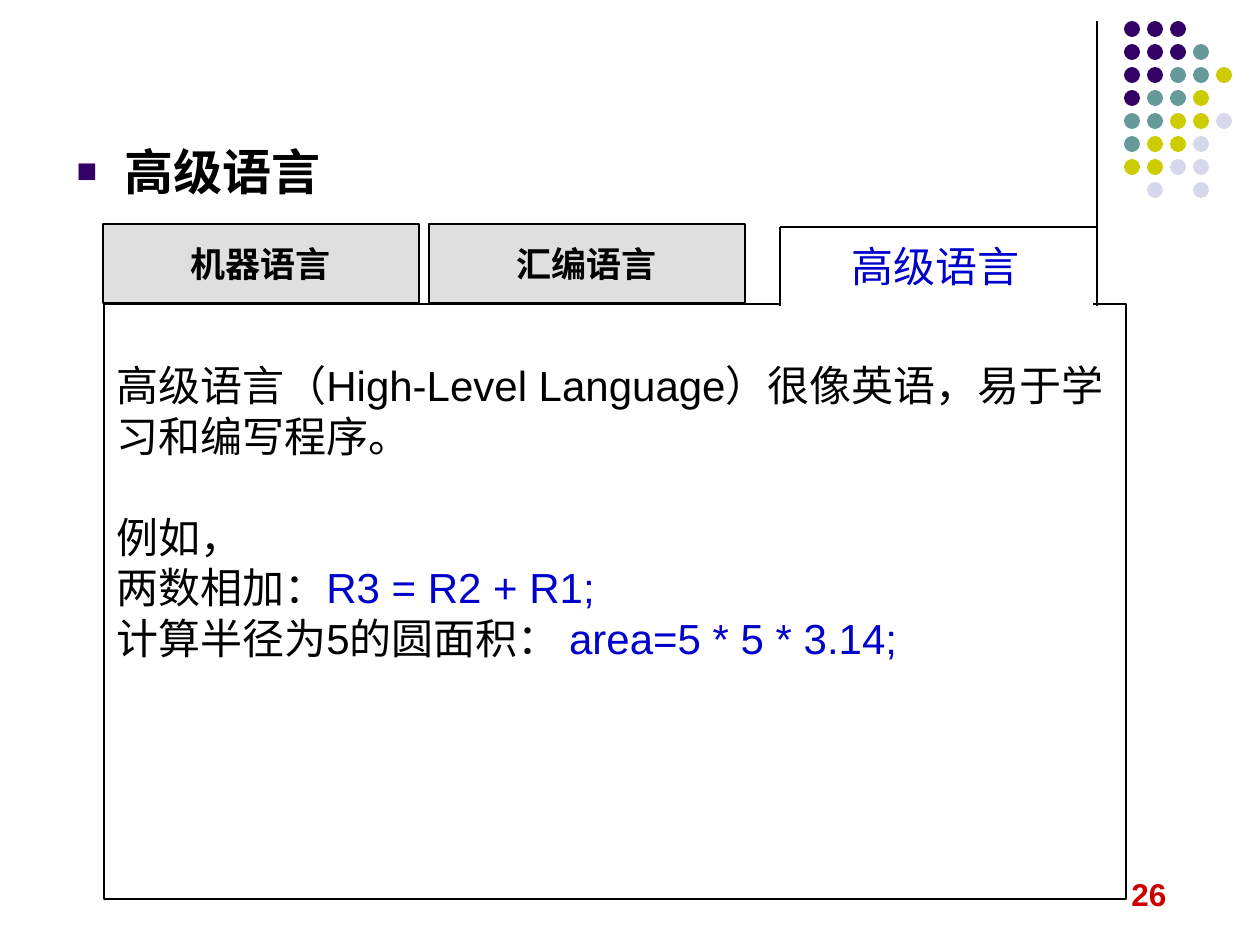
from lxml import etree
from pptx import Presentation
from pptx import util as u
from pptx.dml.color import RGBColor
from pptx.enum import shapes, text
from pptx.oxml.ns import qn

SCALE = 914400 / 126  # EMU per px
BLACK, WHITE, BLUE, RED = "000000", "FFFFFF", "0000CC", "CC0000"
PURPLE, GREY = "330066", "C0C0C0"
CJK = "Noto Sans CJK SC"
DOT_COLORS = {"P": PURPLE, "T": "669999", "Y": "CCCC00", "L": "D8D8EC"}
DOT_ROWS = ["PPP", "PPPT", "PPTTY", "PTTY", "TTYYL", "TYYL", "YYLL", " L L"]


def px(*values):
    return [u.Emu(round(value * SCALE)) for value in values]


def rgb(value):
    return RGBColor.from_string(value)


def add_span(para, words, size, color=BLACK, bold=False, font="Arial"):
    span = para.add_run()
    span.text = words
    span.font.size, span.font.bold = u.Pt(size), bold
    span.font.color.rgb = rgb(color)
    span.font.name = font
    etree.SubElement(span.font._element, qn("a:ea"), typeface=CJK)


def add_box(page, box, fill=None, line=None, kind=shapes.MSO_SHAPE.RECTANGLE):
    shape = page.shapes.add_shape(kind, *px(*box))
    shape.shadow.inherit = False
    if fill:
        shape.fill.solid()
        shape.fill.fore_color.rgb = rgb(fill)
    else:
        shape.fill.background()
    if line:
        shape.line.color.rgb = rgb(line)
        shape.line.width = u.Pt(0.75)
    else:
        shape.line.fill.background()
    return shape


def add_line(page, start, end):
    line = page.shapes.add_connector(shapes.MSO_CONNECTOR.STRAIGHT, *px(*start, *end))
    line.line.color.rgb = rgb(BLACK)
    line.line.width = u.Pt(0.75)
    etree.SubElement(line._element.spPr, qn("a:effectLst"))


def add_decoration(page, left, top):
    """Vertical rule and the field of coloured dots to its right."""
    add_line(page, (left, top), (left, top + 210))
    pitch, size = 23, 16
    for row, letters in enumerate(DOT_ROWS):
        for column, letter in enumerate(letters):
            if letter in DOT_COLORS:
                box = (left + 27 + column * pitch, top + row * pitch, size, size)
                add_box(page, box, DOT_COLORS[letter], kind=shapes.MSO_SHAPE.OVAL)


def add_page_number(page, box, number):
    frame = page.shapes.add_textbox(*px(*box)).text_frame
    frame.word_wrap = True
    add_span(frame.paragraphs[0], number, 18, RED, bold=True)


def add_heading(page, box, words):
    """Bulleted heading in the body placeholder."""
    body = page.placeholders[1]
    body.left, body.top, body.width, body.height = px(*box)
    body.text_frame.auto_size = text.MSO_AUTO_SIZE.NONE
    para = body.text_frame.paragraphs[0]
    para.space_before = u.Pt(7)
    props = para._element.get_or_add_pPr()
    indent = px(48)[0]
    props.set("marL", str(indent))
    props.set("indent", str(-indent))
    color = etree.SubElement(props, qn("a:buClr"))
    etree.SubElement(color, qn("a:srgbClr"), val=PURPLE)
    etree.SubElement(props, qn("a:buSzPct"), val="70000")
    etree.SubElement(props, qn("a:buFont"), typeface="Arial")
    etree.SubElement(props, qn("a:buChar"), char="■")
    add_span(para, words, 28, bold=True)


def add_panel(page, box):
    panel = add_box(page, box, line=BLACK)
    frame = panel.text_frame
    frame.word_wrap = True
    frame.vertical_anchor = text.MSO_ANCHOR.TOP
    frame.margin_top = px(56)[0]
    lines = [
        (0, [("高级语言（High-Level Language）很像英语，易于学习和编写程序。", BLACK)]),
        (29, [("例如，", BLACK)]),
        (0, [("两数相加：", BLACK), ("R3 = R2 + R1;", BLUE)]),
        (0, [("计算半径为5的圆面积： ", BLACK), ("area=5 * 5 * 3.14;", BLUE)]),
    ]
    for index, (gap, spans) in enumerate(lines):
        para = frame.add_paragraph() if index else frame.paragraphs[0]
        para.alignment = text.PP_ALIGN.LEFT
        para.space_before = u.Pt(gap)
        for words, color in spans:
            add_span(para, words, 24, color)


def add_tab(page, box, words, active=False):
    left, top, width, height = box
    if active:
        tab = add_box(page, box, WHITE)
        # Open outline: left, top and right edges
        x1, x2, y1, y2 = left + 1, left + 318, top + 3, top + height - 1
        corners = [(x1, y2), (x1, y1), (x2, y1), (x2, y2)]
        for start, end in zip(corners, corners[1:]):
            add_line(page, start, end)
    else:
        tab = add_box(page, box, GREY, BLACK)
        color = tab.fill._xPr.find(qn("a:solidFill"))[0]
        etree.SubElement(color, qn("a:alpha"), val="50000")
    frame = tab.text_frame
    frame.vertical_anchor = text.MSO_ANCHOR.MIDDLE
    para = frame.paragraphs[0]
    para.alignment = text.PP_ALIGN.CENTER
    if active:
        add_span(para, words, 24, BLUE, font=CJK)
    else:
        add_span(para, words, 20, bold=True)


def main():
    deck = Presentation()
    deck.slide_width, deck.slide_height = px(1260, 945)
    page = deck.slides.add_slide(deck.slide_layouts[1])
    title = page.shapes.title._element
    title.getparent().remove(title)

    add_decoration(page, 1097, 21)
    add_page_number(page, (1119, 869, 120, 50), "26")
    add_heading(page, (64, 135, 1134, 100), "高级语言")
    add_panel(page, (104, 304, 1022, 595))
    add_tab(page, (103, 224, 316, 79), "机器语言")
    add_tab(page, (779, 224, 314, 83), "高级语言", active=True)
    add_tab(page, (429, 224, 316, 79), "汇编语言")
    deck.save("out.pptx")


if __name__ == "__main__":
    main()
